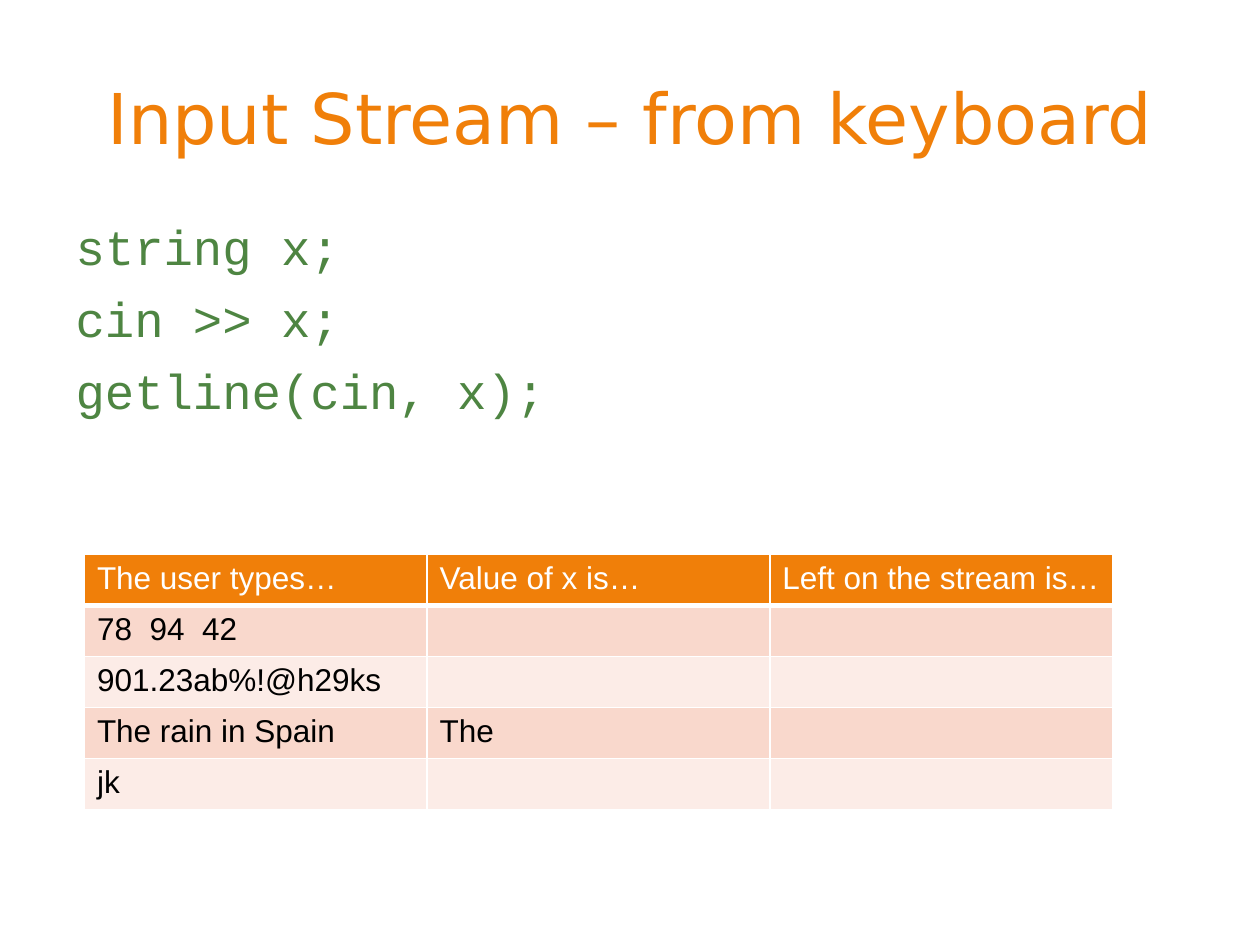
from lxml import etree
from pptx import Presentation
from pptx import util as u
from pptx.dml.color import RGBColor
from pptx.enum import text
from pptx.oxml.ns import qn

TITLE = "Input Stream – from keyboard"
CODE = ["string x;", "cin >> x;", "getline(cin, x);"]
ROWS = [
    ("The user types…", "Value of x is…", "Left on the stream is…"),
    ("78  94  42", "", ""),
    ("901.23ab%!@h29ks", "", ""),
    ("The rain in Spain", "The", ""),
    ("jk", "", ""),
]
THEME = {
    "title": ("DejaVu Sans", 40, "F07F09"),
    "code": ("Courier New", 28, "4E8542"),
    "head": ("Arial", 18, "FFFFFF"),
    "cell": ("Arial", 18, "000000"),
    "head_fill": "F07F09",
    "bands": ("F9D8CC", "FCECE7"),
    "border": "FFFFFF",
}
COL_W, ROW_H = 2.72, 0.405


def style(font, key):
    font.name, size, color = THEME[key]
    font.size = u.Pt(size)
    font.color.rgb = RGBColor.from_string(color)


def add_run(p, words, key):
    r = p.add_run()
    r.text = words
    style(r.font, key)


def place(sp, x, y, w, h):
    sp.left, sp.top, sp.width, sp.height = map(u.Inches, (x, y, w, h))
    sp.text_frame.auto_size = text.MSO_AUTO_SIZE.NONE
    return sp.text_frame


def set_borders(cell, bottom):
    tcPr = cell._tc.get_or_add_tcPr()
    for i, (side, width) in enumerate(zip("LRTB", (1, 1, 1, bottom))):
        ln = etree.Element(qn(f"a:ln{side}"), w=str(u.Pt(width)))
        fill = etree.SubElement(ln, qn("a:solidFill"))
        etree.SubElement(fill, qn("a:srgbClr"), val=THEME["border"])
        tcPr.insert(i, ln)


prs = Presentation()
prs.slide_width, prs.slide_height = u.Inches(10), u.Inches(7.5)
s = prs.slides.add_slide(prs.slide_layouts[1])

tf = place(s.shapes.title, 0.5, 0.3, 9, 1.25)
tf.vertical_anchor = text.MSO_ANCHOR.MIDDLE
p = tf.paragraphs[0]
p.alignment = text.PP_ALIGN.CENTER
add_run(p, TITLE, "title")

tf = place(s.placeholders[1], 0.5, 1.67, 9, 5.49)
for i, line in enumerate(CODE):
    p = tf.add_paragraph() if i else tf.paragraphs[0]
    pPr = p._p.get_or_add_pPr()
    pPr.set("marL", str(u.Inches(0.38)))
    pPr.set("indent", str(u.Inches(-0.38)))
    etree.SubElement(pPr, qn("a:buNone"))
    p.space_before = u.Pt(7.5 if i else 0)
    add_run(p, line, "code")

n_rows, n_cols = len(ROWS), len(ROWS[0])
table = s.shapes.add_table(
    n_rows, n_cols, u.Inches(0.67), u.Inches(4.4),
    u.Inches(COL_W * n_cols), u.Inches(ROW_H * n_rows)).table
for col in table.columns:
    col.width = u.Inches(COL_W)
for i, row in enumerate(ROWS):
    table.rows[i].height = u.Inches(ROW_H)
    key = "cell" if i else "head"
    fill = THEME["bands"][(i - 1) % 2] if i else THEME["head_fill"]
    for j, words in enumerate(row):
        cell = table.cell(i, j)
        cell.fill.solid()
        cell.fill.fore_color.rgb = RGBColor.from_string(fill)
        set_borders(cell, 1 if i else 3)
        p = cell.text_frame.paragraphs[0]
        if words:
            add_run(p, words, key)
            p.runs[0].font.bold = False

prs.save("out.pptx")
